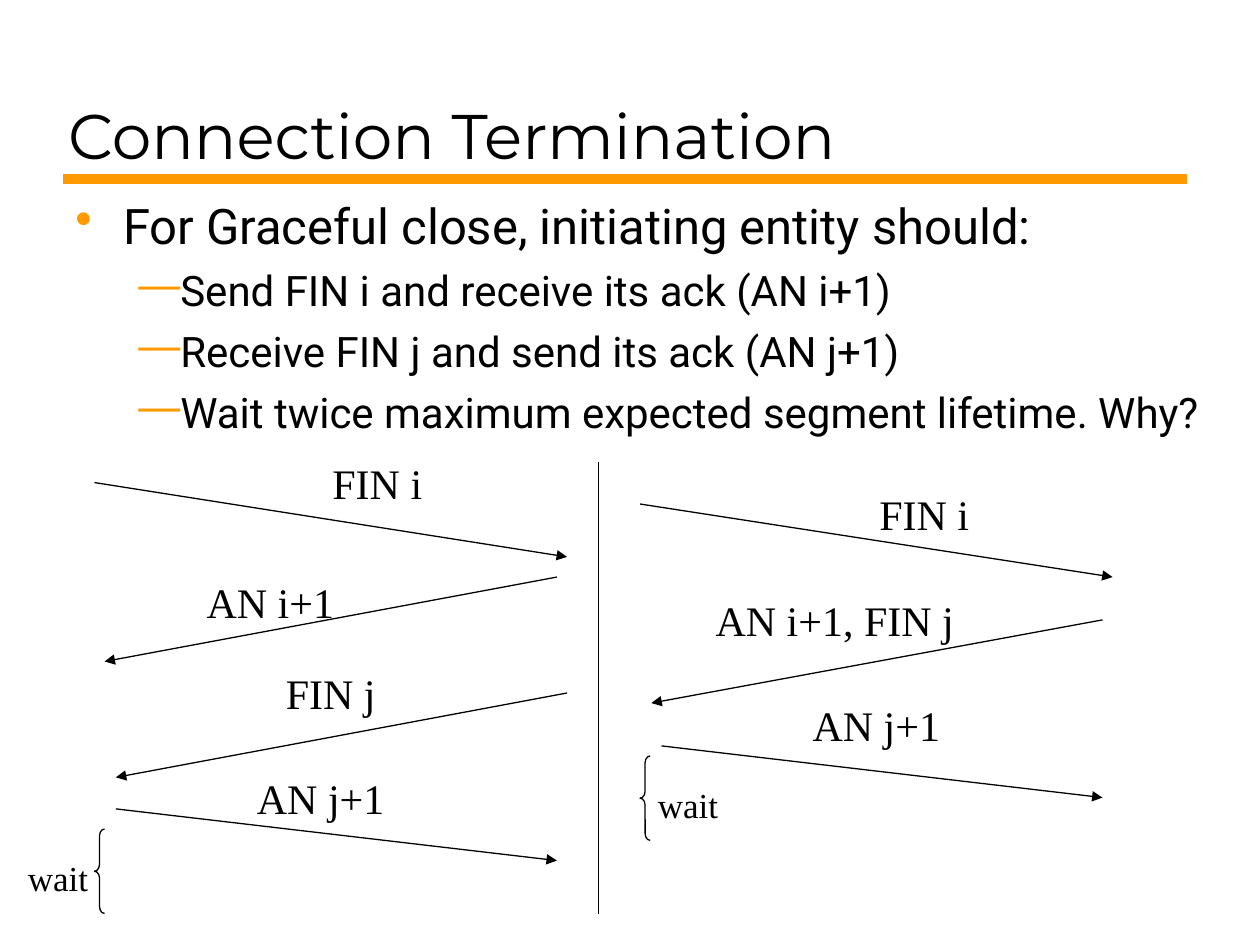
"""Build the Connection Termination slide with its two message exchanges."""
import pptx
import pptx.util
import pptx.dml.color
import pptx.enum.shapes
import pptx.enum.text
import pptx.oxml.ns
from lxml import etree

Inches = pptx.util.Inches
Pt = pptx.util.Pt
RGB = pptx.dml.color.RGBColor
Align = pptx.enum.text.PP_ALIGN
Anchor = pptx.enum.text.MSO_ANCHOR
Fit = pptx.enum.text.MSO_AUTO_SIZE
qn = pptx.oxml.ns.qn

BLACK = RGB(0, 0, 0)
ORANGE = RGB(0xFF, 0x99, 0x00)
SERIF = "Times New Roman"

POINTS = [
    (0, "For Graceful close, initiating entity should:"),
    (1, "Send FIN i and receive its ack (AN i+1)"),
    (1, "Receive FIN j and send its ack (AN j+1)"),
    (1, "Wait twice maximum expected segment lifetime. Why?"),
]
LEVELS = [("•", 28, 7, 0.38, -0.38), ("—", 24, 6, 0.81, -0.31)]

ARROWS = [
    (0.75, 3.83, 4.5, 4.42),
    (4.42, 4.58, 0.83, 5.25),
    (4.5, 5.5, 0.92, 6.17),
    (0.92, 6.42, 4.42, 6.83),
    (5.08, 4, 8.83, 4.58),
    (8.75, 4.92, 5.17, 5.58),
    (5.25, 5.92, 8.75, 6.33),
]
LABELS = [
    ("FIN i", 2.08, 3.58, 1.83),
    ("AN i+1", 1.02, 4.53, 2.25),
    ("FIN j", 1.5, 5.25, 2.25),
    ("AN j+1", 1.67, 6.08, 1.75),
    ("FIN i", 6.42, 3.83, 1.83),
    ("AN i+1, FIN j", 5.5, 4.67, 2.25),
    ("AN j+1", 6.08, 5.5, 1.75),
]
BRACES = [(0.75, 6.58), (5.08, 6)]
WAITS = [(0, 6.75), (5, 6.17)]


def set_font(para, name, size):
    """Set the face, size and black colour of a paragraph."""
    para.font.name = name
    para.font.size = Pt(size)
    para.font.color.rgb = BLACK


def set_title(slide, text):
    """Place and format the title."""
    title = slide.shapes.title
    title.left, title.top = Inches(0.44), Inches(0.17)
    title.width, title.height = Inches(8.97), Inches(1.25)
    frame = title.text_frame
    frame.text = text
    frame.auto_size = Fit.NONE
    frame.vertical_anchor = Anchor.BOTTOM
    para = frame.paragraphs[0]
    para.alignment = Align.LEFT
    set_font(para, "Montserrat", 36)


def add_line(slide, ends, color=BLACK, width=0.75, arrow=False):
    """Draw a straight line, with an arrowhead at its end if asked."""
    line = slide.shapes.add_connector(
        pptx.enum.shapes.MSO_CONNECTOR.STRAIGHT, *map(Inches, ends))
    line.line.color.rgb = color
    line.line.width = Pt(width)
    if arrow:
        etree.SubElement(line.line._get_or_add_ln(), qn("a:tailEnd"),
                         type="triangle")
    etree.SubElement(line._element.spPr, qn("a:effectLst"))


def add_box(slide, left, top, width, height):
    """Add a wrapping text box and return its frame."""
    box = slide.shapes.add_textbox(*map(Inches, (left, top, width, height)))
    box.text_frame.word_wrap = True
    return box.text_frame


def add_label(slide, text, left, top, width, height=0.5, size=24):
    """Add a centred serif label."""
    frame = add_box(slide, left, top, width, height)
    frame.text = text
    para = frame.paragraphs[0]
    para.alignment = Align.CENTER
    set_font(para, SERIF, size)


def set_bullet(para, char, left, hang):
    """Give a paragraph an orange bullet and a hanging indent."""
    props = para._p.get_or_add_pPr()
    props.set("marL", str(Inches(left)))
    props.set("indent", str(Inches(hang)))
    color = etree.SubElement(props, qn("a:buClr"))
    etree.SubElement(color, qn("a:srgbClr"), val=str(ORANGE))
    etree.SubElement(props, qn("a:buChar"), char=char)


def add_points(slide):
    """Add the bulleted list."""
    frame = add_box(slide, 0.5, 1.5, 9.17, 5.13)
    for index, (level, text) in enumerate(POINTS):
        para = frame.add_paragraph() if index else frame.paragraphs[0]
        char, size, space, left, hang = LEVELS[level]
        para.text = text
        para.level = level
        para.space_before = Pt(space)
        set_bullet(para, char, left, hang)
        set_font(para, "Roboto", size)


def add_brace(slide, left, top):
    """Draw a left brace that marks a waiting time."""
    brace = slide.shapes.add_shape(
        pptx.enum.shapes.MSO_SHAPE.LEFT_BRACE,
        *map(Inches, (left, top, 0.08, 0.67)))
    brace.adjustments[0] = 0.67
    brace.shadow.inherit = False
    brace.fill.background()
    brace.line.color.rgb = BLACK
    brace.line.width = Pt(0.75)


def main():
    """Build and save the slide."""
    deck = pptx.Presentation()
    deck.slide_width, deck.slide_height = Inches(10), Inches(7.5)
    slide = deck.slides.add_slide(deck.slide_layouts[5])
    add_line(slide, (0.5, 1.42, 9.42, 1.42), ORANGE, 6)
    set_title(slide, "Connection Termination")
    add_points(slide)
    add_line(slide, (4.75, 3.67, 4.75, 7.25))
    for ends in ARROWS:
        add_line(slide, ends, arrow=True)
    for label in LABELS:
        add_label(slide, *label)
    for place in BRACES:
        add_brace(slide, *place)
    for place in WAITS:
        add_label(slide, "wait", *place, 0.92, 0.44, 20)
    deck.save("out.pptx")


if __name__ == "__main__":
    main()
